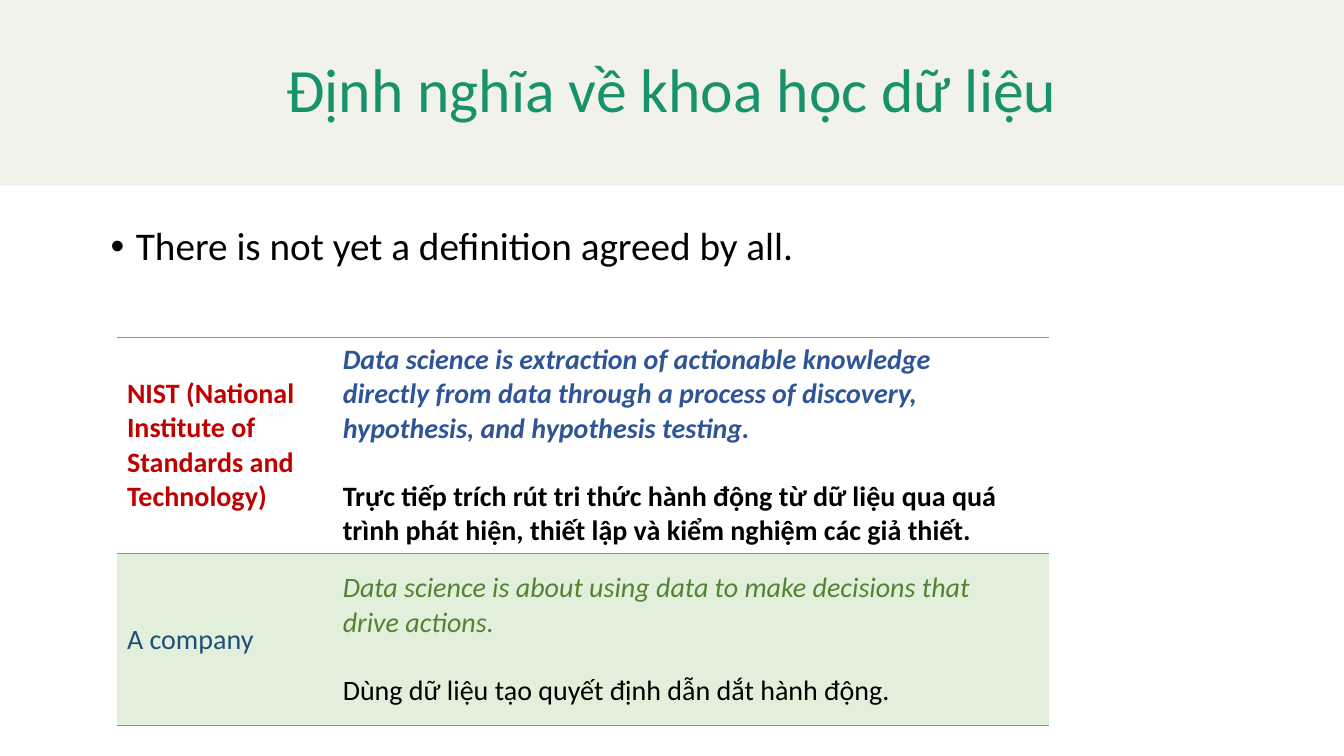
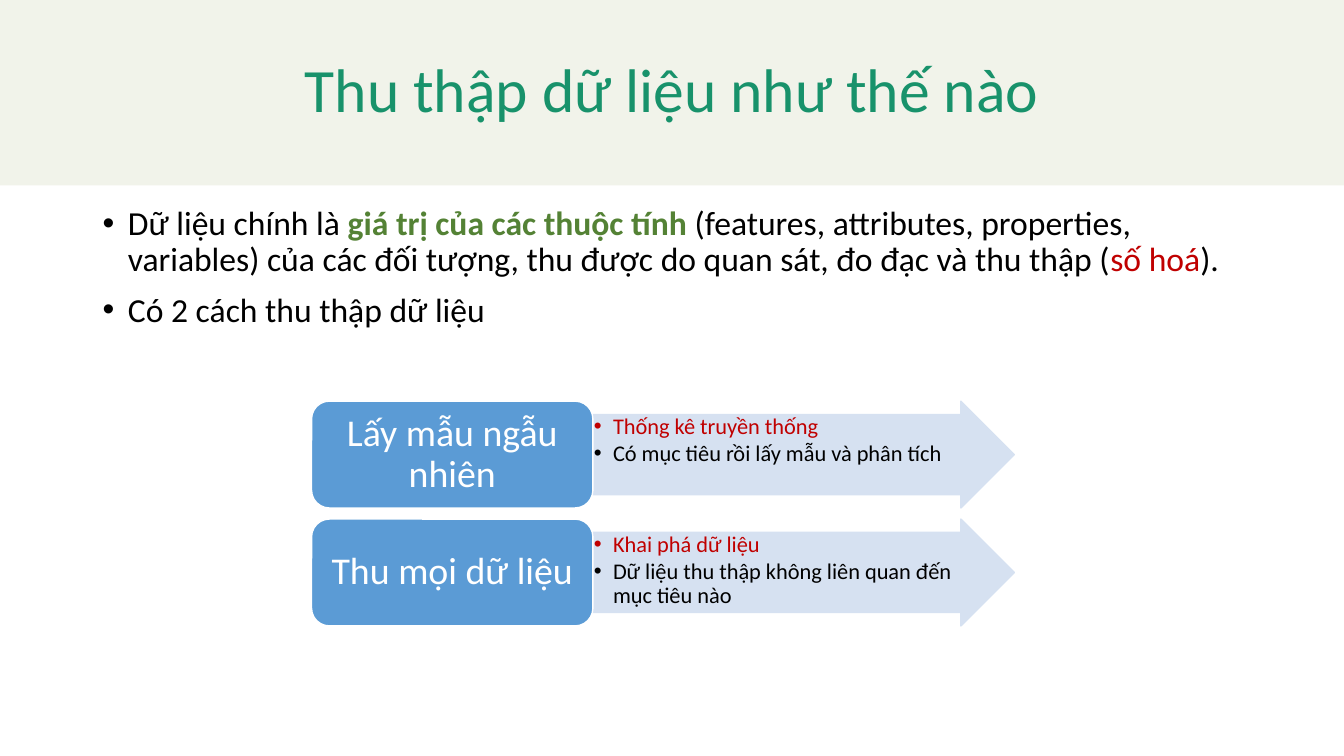
"""Build two slides on defining data science and on collecting data."""
from dataclasses import dataclass

from lxml import etree
from pptx import Presentation
from pptx.dml.color import RGBColor
from pptx.enum.shapes import MSO_SHAPE
from pptx.enum.text import MSO_ANCHOR, PP_ALIGN
from pptx.oxml.ns import qn
from pptx.util import Inches, Pt

RECT = MSO_SHAPE.RECTANGLE
ROUNDED = MSO_SHAPE.ROUNDED_RECTANGLE
ARROW = MSO_SHAPE.RIGHT_ARROW
TOP, MIDDLE = MSO_ANCHOR.TOP, MSO_ANCHOR.MIDDLE
LEFT, CENTER = PP_ALIGN.LEFT, PP_ALIGN.CENTER

FONT = "Calibri"
SLIDE_W, SLIDE_H, BAND_H = 13.33, 7.5, 1.84
BAND, TITLE = "F1F3EA", "18926B"
BLACK, WHITE, RED = "000000", "FFFFFF", "C00000"
GREEN, GREEN_TEXT, GREEN_TINT = "70AD47", "548235", "E2EFDA"
BLUE, BLUE_TEXT, NAVY, ARROW_FILL = "5B9BD5", "2F5597", "1F4E79", "D6E1F1"


@dataclass(frozen=True)
class Span:
    text: str
    color: str = BLACK
    bold: bool = False
    italic: bool = False


@dataclass(frozen=True)
class Definition:
    source: Span
    english: Span
    vietnamese: Span
    fill: str | None = None


@dataclass(frozen=True)
class Method:
    name: str
    field: str
    detail: str


DEFINITIONS = [
    Definition(
        Span("NIST (National\nInstitute of Standards and Technology)", RED, bold=True),
        Span("Data science is extraction of actionable knowledge\n"
             "directly from data through a process of discovery,\n"
             "hypothesis, and hypothesis testing.", BLUE_TEXT, bold=True, italic=True),
        Span("Trực tiếp trích rút tri thức hành động từ dữ liệu qua quá\n"
             "trình phát hiện, thiết lập và kiểm nghiệm các giả thiết.", bold=True),
    ),
    Definition(
        Span("A company", NAVY),
        Span("Data science is about using data to make decisions that\n"
             "drive actions.", GREEN_TEXT, italic=True),
        Span("Dùng dữ liệu tạo quyết định dẫn dắt hành động."),
        GREEN_TINT,
    ),
]

METHODS = [
    Method("Lấy mẫu ngẫu nhiên", "Thống kê truyền thống",
           "Có mục tiêu rồi lấy mẫu và phân tích"),
    Method("Thu mọi dữ liệu", "Khai phá dữ liệu",
           "Dữ liệu thu thập không liên quan đến mục tiêu nào"),
]


def rgb(color: str) -> RGBColor:
    return RGBColor.from_string(color)


def add_bullet(p, indent: float) -> None:
    pPr = p._p.get_or_add_pPr()
    pPr.set("marL", str(Inches(indent)))
    pPr.set("indent", str(-Inches(indent)))
    etree.SubElement(pPr, qn("a:buFont")).set("typeface", "Arial")
    etree.SubElement(pPr, qn("a:buChar")).set("char", "•")


def add_span(p, span: Span, size: float) -> None:
    for i, line in enumerate(span.text.split("\n")):
        if i:
            p.add_line_break()
        r = p.add_run()
        r.text = line
        r.font.name, r.font.size = FONT, Pt(size)
        r.font.bold, r.font.italic = span.bold, span.italic
        r.font.color.rgb = rgb(span.color)


def write(tf, paragraphs: list[list[Span]], *, size: float, align=LEFT, anchor=TOP,
          spacing: float = 1, gap: float = 0, indent: float = 0,
          inset: tuple[float, float] = (0.1, 0.05)) -> None:
    """Fill a text frame with paragraphs of spans in one format."""
    tf.word_wrap = True
    tf.vertical_anchor = anchor
    tf.margin_left = tf.margin_right = Inches(inset[0])
    tf.margin_top = tf.margin_bottom = Inches(inset[1])
    for i, spans in enumerate(paragraphs):
        p = tf.add_paragraph() if i else tf.paragraphs[0]
        p.alignment, p.line_spacing = align, spacing
        if i:
            p.space_before = Pt(gap)
        if indent:
            add_bullet(p, indent)
        for span in spans:
            add_span(p, span, size)


def add_box(s, kind, x: float, y: float, w: float, h: float, fill: str,
            line: str | None = None):
    sp = s.shapes.add_shape(kind, Inches(x), Inches(y), Inches(w), Inches(h))
    sp.shadow.inherit = False
    sp.fill.solid()
    sp.fill.fore_color.rgb = rgb(fill)
    if line:
        sp.line.color.rgb = rgb(line)
        sp.line.width = Pt(1)
    else:
        sp.line.fill.background()
    return sp


def add_titled_slide(prs, title: str):
    s = prs.slides.add_slide(prs.slide_layouts[6])
    sp = add_box(s, RECT, 0, 0, SLIDE_W, BAND_H, BAND)
    write(sp.text_frame, [[Span(title, TITLE)]], size=44, align=CENTER,
          anchor=MIDDLE, spacing=0.9)
    return s


def add_bullets(s, x: float, y: float, w: float, h: float,
                paragraphs: list[list[Span]], size: float) -> None:
    sp = s.shapes.add_textbox(Inches(x), Inches(y), Inches(w), Inches(h))
    write(sp.text_frame, paragraphs, size=size, spacing=0.9, gap=10, indent=0.25)


def set_borders(cell) -> None:
    tcPr = cell._tc.get_or_add_tcPr()
    for i, side in enumerate(("lnL", "lnR", "lnT", "lnB")):
        ln = etree.Element(qn(f"a:{side}"))
        if side in ("lnT", "lnB"):
            ln.set("w", str(Pt(1)))
            fill = etree.SubElement(ln, qn("a:solidFill"))
            etree.SubElement(fill, qn("a:srgbClr")).set("val", GREEN)
        else:
            etree.SubElement(ln, qn("a:noFill"))
        tcPr.insert(i, ln)


def add_definitions(s) -> None:
    widths, heights = (2.14, 7.1), (2.14, 1.71)
    table = s.shapes.add_table(len(DEFINITIONS), len(widths), Inches(1.16), Inches(3.35),
                               Inches(sum(widths)), Inches(sum(heights))).table
    table.first_row = table.horz_banding = False
    for col, width in zip(table.columns, widths):
        col.width = Inches(width)
    for row, height, item in zip(table.rows, heights, DEFINITIONS):
        row.height = Inches(height)
        contents = [[[item.source]], [[item.english], [item.vietnamese]]]
        for cell, paragraphs in zip(row.cells, contents):
            write(cell.text_frame, paragraphs, size=20, gap=24.4)
            cell.vertical_anchor = MIDDLE
            if item.fill:
                cell.fill.solid()
                cell.fill.fore_color.rgb = rgb(item.fill)
            else:
                cell.fill.background()
            set_borders(cell)


def add_method(s, method: Method, y: float) -> None:
    x, name_w, arrow_w, h = 3.09, 2.79, 4.18, 1.06
    arrow = add_box(s, ARROW, x + name_w, y, arrow_w, h, ARROW_FILL, ARROW_FILL)
    arrow.adjustments[0], arrow.adjustments[1] = 0.75, 0.5
    write(arrow.text_frame, [[Span(method.field, RED)], [Span(method.detail)]],
          size=16, spacing=0.9, gap=2, indent=0.19, inset=(0.01, 0.01))
    label = add_box(s, ROUNDED, x, y, name_w, h, BLUE, WHITE)
    write(label.text_frame, [[Span(method.name, WHITE)]], size=27, align=CENTER,
          anchor=MIDDLE, spacing=0.9, inset=(0.11, 0.06))


def build_definition_slide(prs) -> None:
    s = add_titled_slide(prs, "Định nghĩa về khoa học dữ liệu")
    add_bullets(s, 1, 2.2, 11.57, 0.8,
                [[Span("There is not yet a definition agreed by all.")]], size=28)
    add_definitions(s)


def build_collection_slide(prs) -> None:
    s = add_titled_slide(prs, "Thu thập dữ liệu như thế nào")
    add_bullets(s, 0.92, 2, 11.5, 1.6, [
        [Span("Dữ liệu chính là "),
         Span("giá trị của các thuộc tính ", GREEN_TEXT, bold=True),
         Span("(features, attributes, properties, variables) của các đối tượng, "
              "thu được do quan sát, đo đạc và thu thập ("),
         Span("số hoá", RED),
         Span(").")],
        [Span("Có 2 cách thu thập dữ liệu")],
    ], size=24)
    for i, method in enumerate(METHODS):
        add_method(s, method, 3.98 + i * 1.17)


def main() -> None:
    prs = Presentation()
    prs.slide_width, prs.slide_height = Inches(SLIDE_W), Inches(SLIDE_H)
    build_definition_slide(prs)
    build_collection_slide(prs)
    prs.save("out.pptx")


if __name__ == "__main__":
    main()
